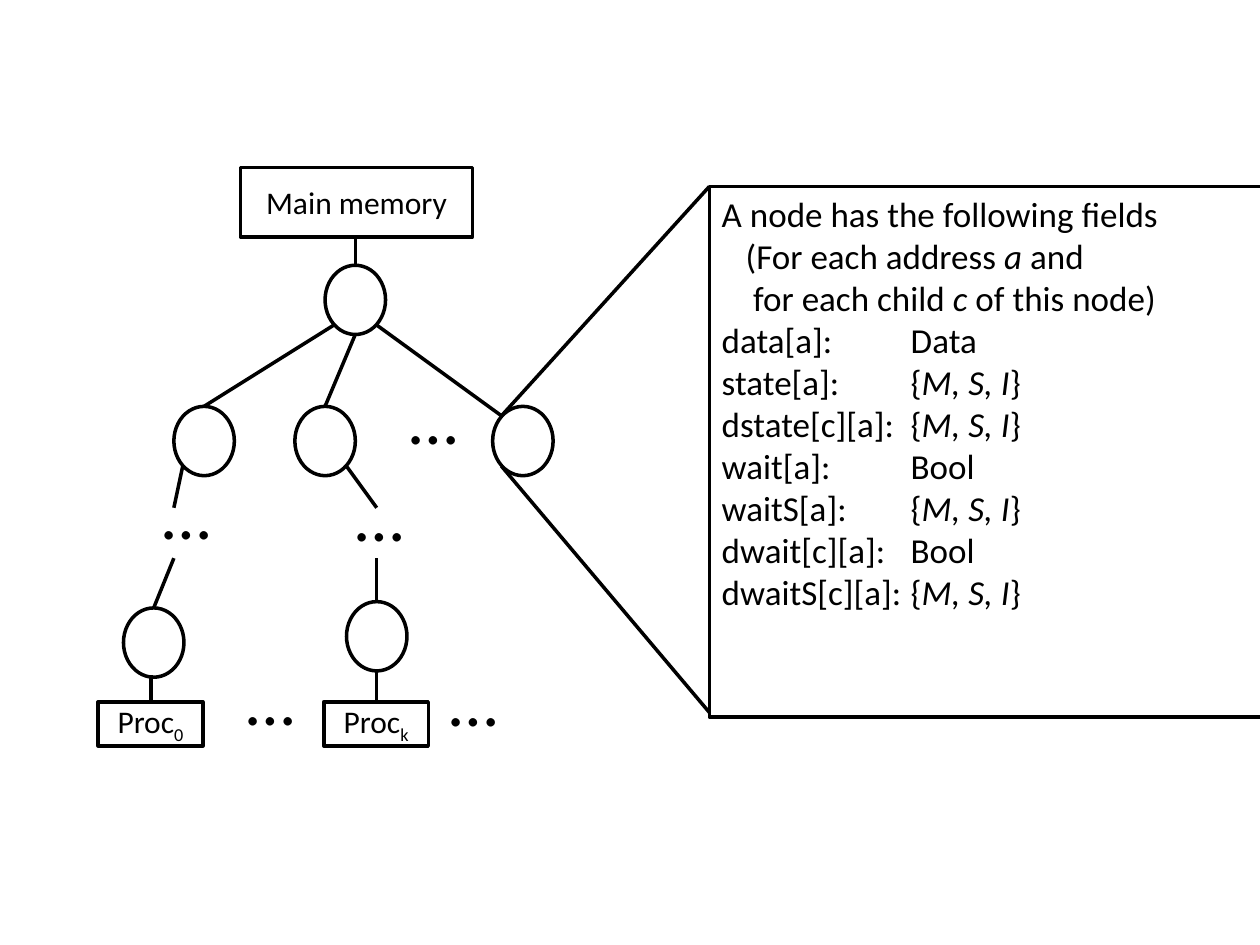
from lxml.etree import SubElement
from pptx import Presentation
from pptx.dml.color import RGBColor
from pptx.enum.shapes import MSO_CONNECTOR as Connector, MSO_SHAPE as Shape
from pptx.enum.text import MSO_ANCHOR as Anchor, PP_ALIGN as Align
from pptx.oxml.ns import qn
from pptx.util import Inches, Pt

BLACK = RGBColor(0, 0, 0)
WHITE = RGBColor(255, 255, 255)
NODE_W, NODE_H = 0.48, 0.55


class Diagram:
    """Holds the style and the current slide."""
    font, stroke = "Calibri", Pt(2)

    def __init__(self, slide):
        self.shapes = slide.shapes

    def outline(self, line):
        line.color.rgb = BLACK
        line.width = self.stroke

    def run(self, paragraph, text, size, baseline=0, **formats):
        run = paragraph.add_run()
        run.text = text
        for key, value in {"name": self.font, "size": Pt(size), **formats}.items():
            setattr(run.font, key, value)
        run.font.color.rgb = BLACK
        if baseline:
            run._r.get_or_add_rPr().set("baseline", str(baseline))

    def shape(self, kind, left, top, width, height):
        shape = self.shapes.add_shape(kind, *map(Inches, (left, top, width, height)))
        shape.shadow.inherit = False
        shape.fill.solid()
        shape.fill.fore_color.rgb = WHITE
        self.outline(shape.line)
        return shape

    def node(self, center):
        x, y = center
        self.shape(Shape.OVAL, x - NODE_W / 2, y - NODE_H / 2, NODE_W, NODE_H)

    def edge(self, start, end):
        edge = self.shapes.add_connector(Connector.STRAIGHT, *map(Inches, (*start, *end)))
        self.outline(edge.line)
        SubElement(edge._element.spPr, qn("a:effectLst"))

    def box(self, left, top, width, height, label, subscript=""):
        frame = self.shape(Shape.RECTANGLE, left, top, width, height).text_frame
        frame.vertical_anchor = Anchor.MIDDLE
        paragraph = frame.paragraphs[0]
        paragraph.alignment = Align.CENTER
        self.run(paragraph, label, 18)
        if subscript:
            self.run(paragraph, subscript, 18, baseline=-25000)

    def dots(self, left, top):
        box = self.shapes.add_textbox(*map(Inches, (left, top, 0.56, 0.77)))
        box.text_frame.word_wrap = False
        self.run(box.text_frame.paragraphs[0], "…", 40)

    def panel(self, left, top, width, height, lines, tab):
        """Each line is (indent, text); text between asterisks is italic."""
        frame = self.shape(Shape.RECTANGLE, left, top, width, height).text_frame
        frame.word_wrap = True
        frame.vertical_anchor = Anchor.TOP
        for i, (indent, text) in enumerate(lines):
            paragraph = frame.add_paragraph() if i else frame.paragraphs[0]
            paragraph.alignment = Align.LEFT
            properties = paragraph._p.get_or_add_pPr()
            properties.set("marL", str(Inches(indent)))
            stops = SubElement(properties, qn("a:tabLst"))
            SubElement(stops, qn("a:tab"), pos=str(Inches(tab)), algn="l")
            for j, part in enumerate(text.split("*")):
                if part:
                    self.run(paragraph, part, 20, italic=j % 2 == 1)


def rim(center, across, down):
    """Point on a node's outline; across and down are -1, 0 or 1."""
    dx, dy = (0.17, 0.2) if across and down else (NODE_W / 2, NODE_H / 2)
    return center[0] + across * dx, center[1] + down * dy


deck = Presentation()
deck.slide_width, deck.slide_height = Inches(10), Inches(7.5)
diagram = Diagram(deck.slides.add_slide(deck.slide_layouts[6]))

# Tree nodes
root = (2.82, 2.38)
left_child, middle_child, right_child = [(x, 3.5) for x in (1.62, 2.58, 4.15)]
first_leaf, kth_leaf = (1.22, 5.1), (2.99, 5.05)
for center in (root, left_child, middle_child, right_child, first_leaf, kth_leaf):
    diagram.node(center)

# Tree edges and the two sides of the callout
PANEL_LEFT, PANEL_TOP, PANEL_HEIGHT = 5.63, 1.48, 4.21
edges = [
    ((2.82, 1.88), rim(root, 0, -1)),
    (rim(root, -1, 1), rim(left_child, 0, -1)),
    (rim(root, 0, 1), rim(middle_child, 0, -1)),
    (rim(root, 1, 1), rim(right_child, -1, -1)),
    (rim(left_child, -1, 1), (1.38, 4.03)),
    (rim(middle_child, 1, 1), (2.99, 4.03)),
    ((1.38, 4.43), rim(first_leaf, 0, -1)),
    ((2.99, 4.43), rim(kth_leaf, 0, -1)),
    ((1.2, 5.36), (1.2, 5.57)),
    (rim(kth_leaf, 0, 1), (2.99, 5.57)),
    (rim(right_child, -1, -1), (PANEL_LEFT, PANEL_TOP)),
    (rim(right_child, -1, 1), (5.66, PANEL_TOP + PANEL_HEIGHT)),
]
for start, end in edges:
    diagram.edge(start, end)

# Memory and processors
diagram.box(1.91, 1.33, 1.84, 0.55, "Main memory")
for left, index in ((0.78, "0"), (2.57, "k")):
    diagram.box(left, 5.57, 0.83, 0.35, "Proc", index)

# Omitted parts of the tree
for left, top in ((3.15, 2.92), (1.19, 3.68), (2.72, 3.69), (1.86, 5.15), (3.47, 5.16)):
    diagram.dots(left, top)

# Node fields
STATES = "{*M, S, I*}"
fields = [
    ("data[a]", "Data"), ("state[a]", STATES), ("dstate[c][a]", STATES),
    ("wait[a]", "Bool"), ("waitS[a]", STATES),
    ("dwait[c][a]", "Bool"), ("dwaitS[c][a]", STATES),
]
heading = [
    (0, "A node has the following fields"),
    (0.19, "(For each address *a *and"),
    (0.25, "for each child *c* of this node)"),
]
rows = [(0, f"{field}:\t{kind}") for field, kind in fields]
diagram.panel(PANEL_LEFT, PANEL_TOP, 5, PANEL_HEIGHT, heading + rows, tab=1.5)

deck.save("out.pptx")
